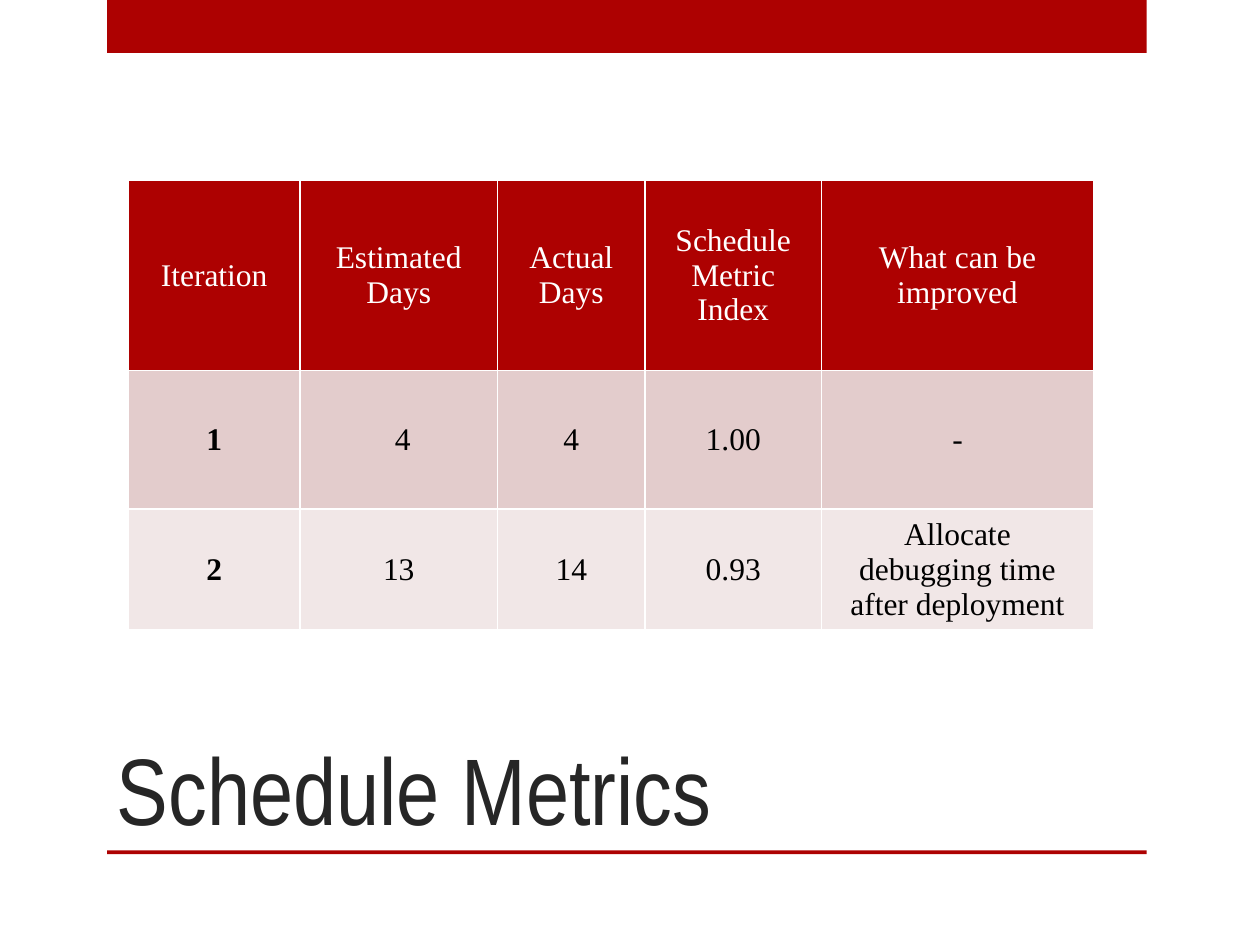
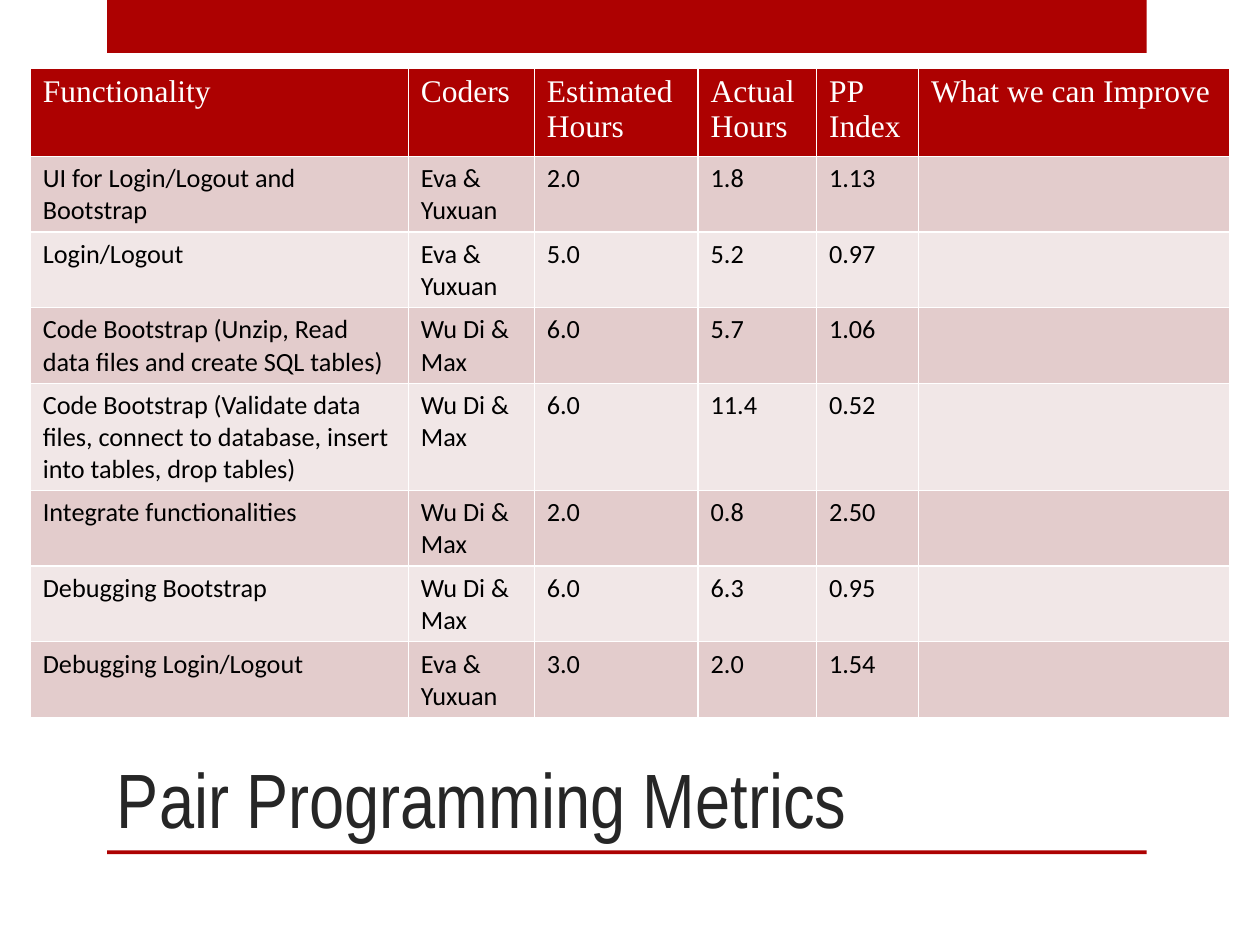
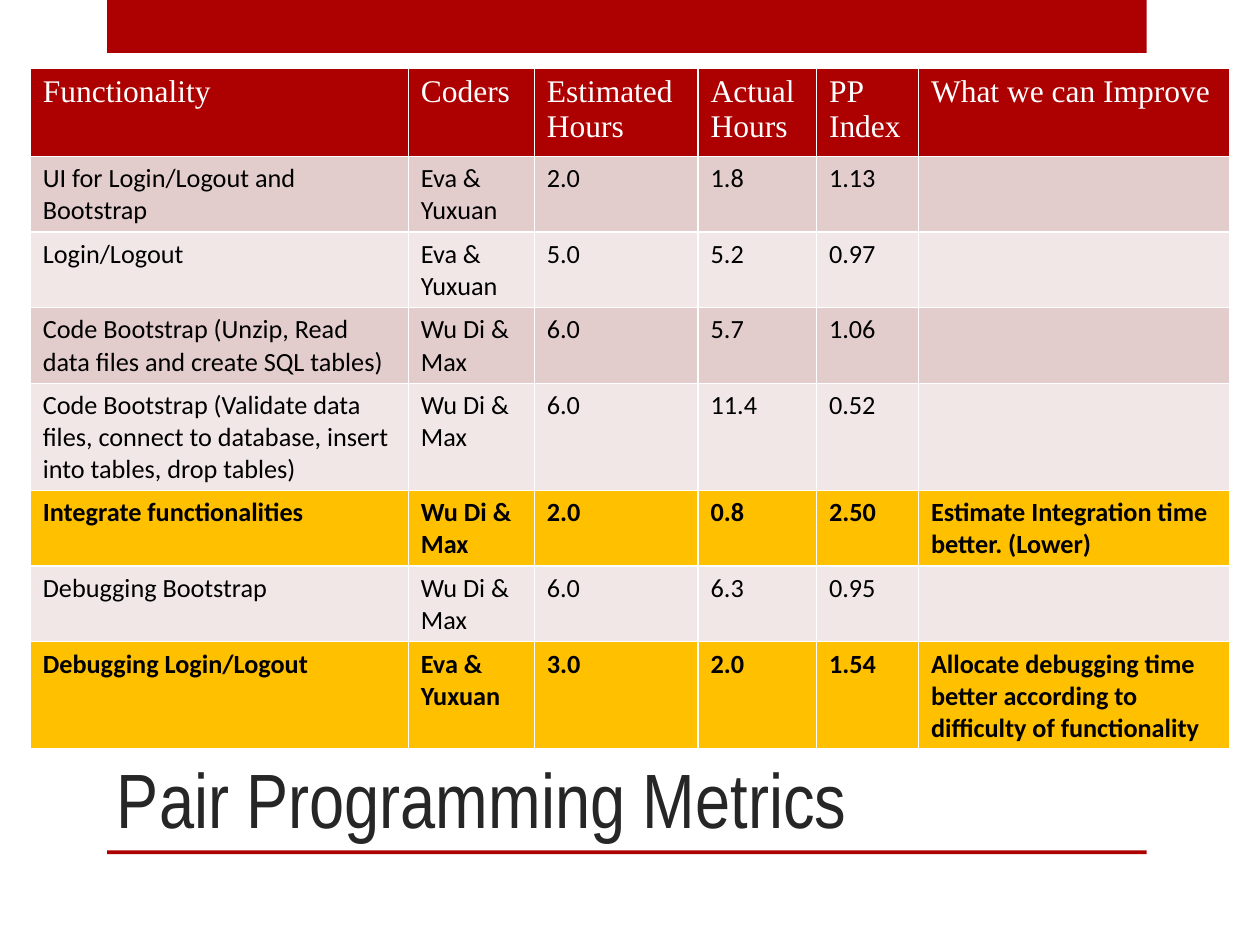
import dataclasses

import pptx
import pptx.dml.color
import pptx.enum.shapes
import pptx.enum.text
import pptx.oxml
import pptx.oxml.ns
import pptx.util


@dataclasses.dataclass(frozen=True)
class Theme:
    red: str = "AD0101"
    white: str = "FFFFFF"
    black: str = "000000"
    title_ink: str = "262626"
    stripes: tuple = ("E3CCCC", "F1E7E7")
    highlight: str = "FFC000"
    title_font: str = "Arial Narrow"
    serif: str = "Times New Roman"
    sans: str = "Calibri"
    header_size: int = 18
    border: int = 1


THEME = Theme()

# All lengths below are hundredths of the slide's width (x) or height (y).
BANDS = [(8.5, 0, 82.5, 5.6), (8.5, 90, 82.5, 0.4)]
TITLE_LEFT, TITLE_BOTTOM, TITLE_HEIGHT = 8.3, 90, 23.33

SCHEDULE_ROWS = [
    ("Iteration", "Estimated Days", "Actual Days", "Schedule\nMetric\nIndex", "What can be improved"),
    ("1", " 4", "4", "1.00", "-"),
    ("2", "13", "14", "0.93", "Allocate debugging time after deployment"),
]

PAIR_HEADER = ("Functionality", "Coders", "Estimated Hours", "Actual Hours", "PP Index", "What we can Improve")
PAIR_TASKS = [
    ("UI for Login/Logout and Bootstrap", "Eva & Yuxuan", "2.0", "1.8", "1.13"),
    ("Login/Logout", "Eva & Yuxuan", "5.0", "5.2", "0.97"),
    ("Code Bootstrap (Unzip, Read data files and create SQL tables)", "Wu Di & Max", "6.0", "5.7", "1.06"),
    ("Code Bootstrap (Validate data files, connect to database, insert into tables, drop tables)",
     "Wu Di & Max", "6.0", "11.4", "0.52"),
    ("Integrate functionalities", "Wu Di & Max", "2.0", "0.8", "2.50"),
    ("Debugging Bootstrap", "Wu Di & Max", "6.0", "6.3", "0.95"),
    ("Debugging Login/Logout", "Eva & Yuxuan", "3.0", "2.0", "1.54"),
]
IMPROVEMENTS = {
    "Integrate functionalities": "Estimate Integration time better. (Lower)",
    "Debugging Login/Logout": "Allocate debugging time better according to difficulty of functionality",
}


def pair_rows(improvements):
    return [PAIR_HEADER] + [task + (improvements.get(task[0], ""),) for task in PAIR_TASKS]


SCHEDULE_STYLE = {
    "title_size": 54, "title_width": 74.2, "origin": (10.2, 19.07),
    "columns": (13.6, 15.7, 11.7, 14, 21.6), "heights": (20.13, 14.67, 12.8),
    "body_font": THEME.serif, "body_size": 18, "centred": True, "bold_first": True,
}
PAIR_STYLE = {
    "title_size": 44, "title_width": 83.1, "origin": (2.4, 7.2),
    "columns": (30, 10, 13, 9.4, 8.1, 24.7), "heights": (5.47,) * (len(PAIR_TASKS) + 1),
    "body_font": THEME.sans, "body_size": 15, "centred": False, "bold_first": False,
}

SLIDES = [
    ("Schedule Metrics", SCHEDULE_ROWS, SCHEDULE_STYLE, ()),
    ("Pair Programming Metrics", pair_rows({}), PAIR_STYLE, ()),
    ("Pair Programming Metrics", pair_rows(IMPROVEMENTS), PAIR_STYLE, IMPROVEMENTS),
]

deck = pptx.Presentation()
deck.slide_width = pptx.util.Inches(10)
deck.slide_height = pptx.util.Inches(7.5)


def across(share):
    return round(deck.slide_width * share / 100)


def down(share):
    return round(deck.slide_height * share / 100)


def box(left, top, width, height):
    return across(left), down(top), across(width), down(height)


def paint(fill, colour):
    fill.solid()
    fill.fore_color.rgb = pptx.dml.color.RGBColor.from_string(colour)


def write(paragraph, text, font, size, colour, bold=False):
    run = paragraph.add_run()
    run.text = text
    run.font.name, run.font.size, run.font.bold = font, pptx.util.Pt(size), bold
    run.font.color.rgb = pptx.dml.color.RGBColor.from_string(colour)


def add_bands(slide):
    for left, top, width, height in BANDS:
        band = slide.shapes.add_shape(pptx.enum.shapes.MSO_SHAPE.RECTANGLE, *box(left, top, width, height))
        band.shadow.inherit = False
        paint(band.fill, THEME.red)
        band.line.fill.background()


def add_title(slide, title, style):
    frame = slide.shapes.add_textbox(
        *box(TITLE_LEFT, TITLE_BOTTOM - TITLE_HEIGHT, style["title_width"], TITLE_HEIGHT)).text_frame
    frame.word_wrap = True
    frame.vertical_anchor = pptx.enum.text.MSO_ANCHOR.BOTTOM
    write(frame.paragraphs[0], title, THEME.title_font, style["title_size"], THEME.title_ink)


def add_borders(cell):
    """Border lines must precede the fill in the cell properties."""
    properties = cell._tc.get_or_add_tcPr()
    for side in "LRTB":
        properties.append(pptx.oxml.parse_xml(
            f'<a:ln{side} {pptx.oxml.ns.nsdecls("a")} w="{pptx.util.Pt(THEME.border)}"><a:solidFill>'
            f'<a:srgbClr val="{THEME.white}"/></a:solidFill></a:ln{side}>'))


def fill_cell(cell, text, fill, font, size, colour, bold, centred):
    add_borders(cell)
    paint(cell.fill, fill)
    if centred:
        cell.vertical_anchor = pptx.enum.text.MSO_ANCHOR.MIDDLE
    for index, line in enumerate(text.split("\n") if text else []):
        paragraph = cell.text_frame.add_paragraph() if index else cell.text_frame.paragraphs[0]
        if centred:
            paragraph.alignment = pptx.enum.text.PP_ALIGN.CENTER
        write(paragraph, line, font, size, colour, bold)


def add_metrics(slide, rows, style, highlighted):
    columns, heights = style["columns"], style["heights"]
    metrics = slide.shapes.add_table(
        len(rows), len(columns), *box(*style["origin"], sum(columns), sum(heights))).table
    metrics.first_row = metrics.horz_banding = False
    for column, width in zip(metrics.columns, columns):
        column.width = across(width)
    for r, (row, height) in enumerate(zip(rows, heights)):
        metrics.rows[r].height = down(height)
        marked = row[0] in highlighted
        if r == 0:
            look = THEME.red, THEME.serif, THEME.header_size, THEME.white
        else:
            fill = THEME.highlight if marked else THEME.stripes[(r - 1) % 2]
            look = fill, style["body_font"], style["body_size"], THEME.black
        for c, text in enumerate(row):
            bold = marked or (style["bold_first"] and r > 0 and c == 0)
            fill_cell(metrics.cell(r, c), text, *look, bold, style["centred"])


def main():
    blank = deck.slide_layouts[6]
    for title, rows, style, highlighted in SLIDES:
        slide = deck.slides.add_slide(blank)
        add_bands(slide)
        add_metrics(slide, rows, style, highlighted)
        add_title(slide, title, style)
    deck.save("out.pptx")


if __name__ == "__main__":
    main()
